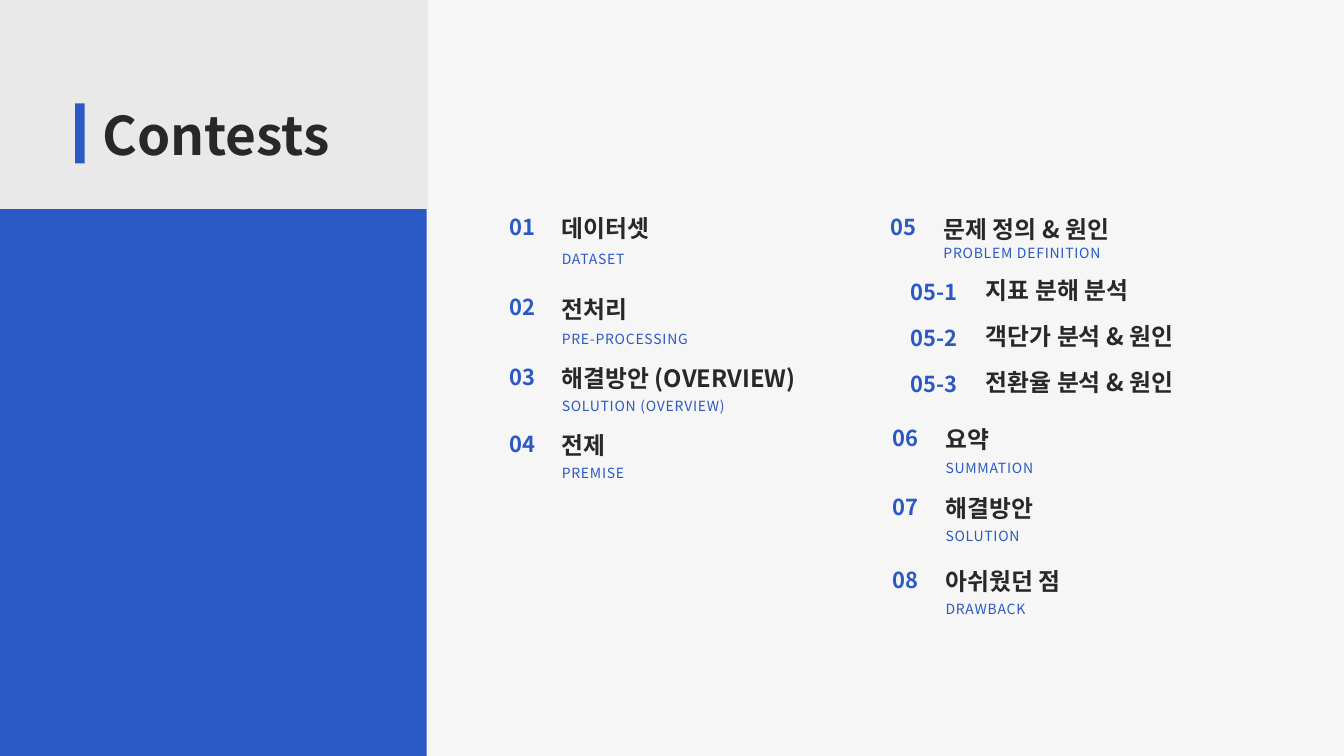
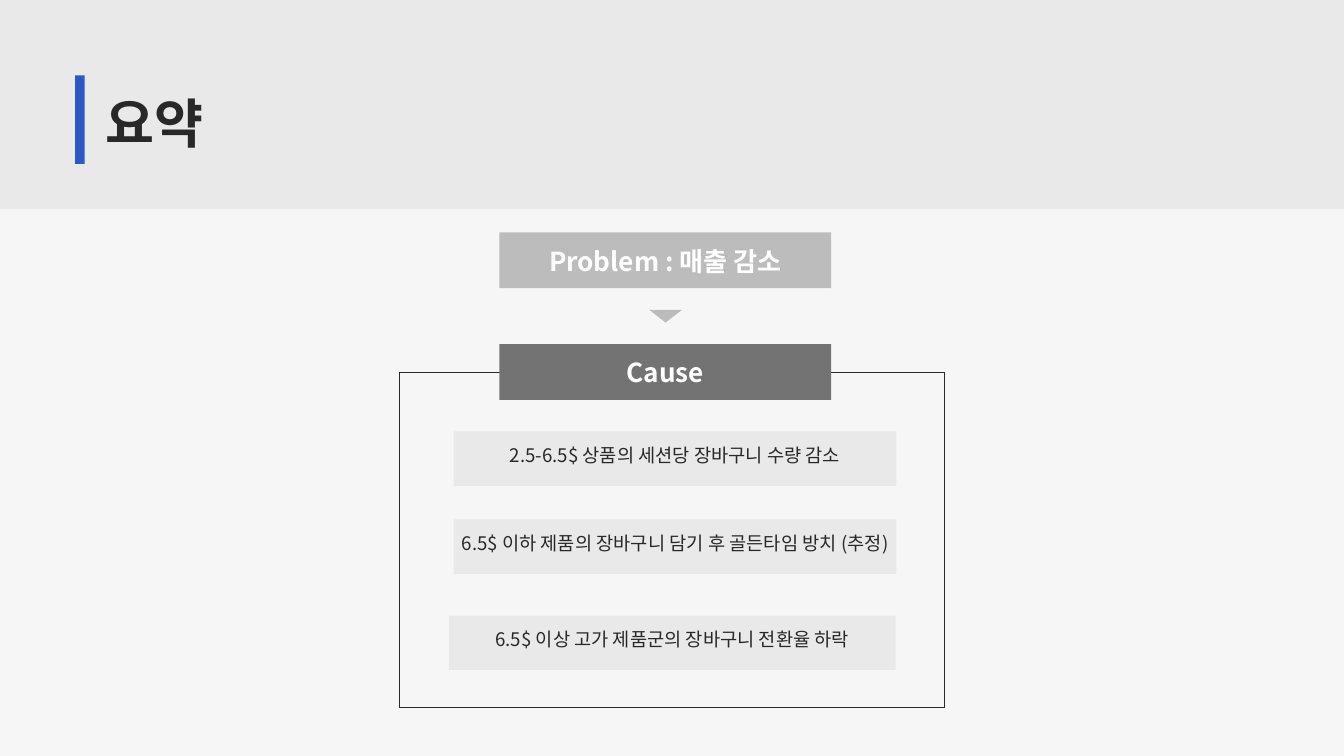
import pptx
import pptx.dml.color
import pptx.enum.shapes
import pptx.enum.text
import pptx.oxml.ns
import pptx.util
from lxml import etree

PX = 9144  # EMU in one px: 100 px to the inch
WIDE, HIGH = 2000, 1125
BAND = 311
FONT = "Noto Sans CJK KR"
BLUE, INK, PAPER, WHITE = "2A59C5", "282828", "F6F6F6", "FFFFFF"
PALE, GREY, DARK = "E9E9E9", "BCBCBC", "737373"

KIND = pptx.enum.shapes.MSO_SHAPE
ALIGN = pptx.enum.text.PP_ALIGN
ANCHOR = pptx.enum.text.MSO_ANCHOR
FIT = pptx.enum.text.MSO_AUTO_SIZE

LEFT = [
    (311, "01", "데이터셋", "DATASET", 58),
    (431, "02", "전처리", "PRE-PROCESSING", 57),
    (534, "03", "해결방안 (OVERVIEW)", "SOLUTION (OVERVIEW)", 54),
    (634, "04", "전제", "PREMISE", 53),
]
RIGHT = [
    (625, "06", "요약", "SUMMATION", 54),
    (728, "07", "해결방안", "SOLUTION", 53),
    (837, "08", "아쉬웠던 점", "DRAWBACK", 53),
]
PARTS = [
    (403, "05-1", "지표 분해 분석"),
    (471, "05-2", "객단가 분석 & 원인"),
    (540, "05-3", "전환율 분석 & 원인"),
]
CAUSES = [
    (675, 642, 659, "2.5-6.5$ 상품의 세션당 장바구니 수량 감소"),
    (675, 773, 659, "6.5$ 이하 제품의 장바구니 담기 후 골든타임 방치 (추정)"),
    (668, 916, 665, "6.5$ 이상 고가 제품군의 장바구니 전환율 하락"),
]


def scale(*sizes):
    return [size * PX for size in sizes]


def color(code):
    return pptx.dml.color.RGBColor.from_string(code)


def write(frame, text, size, code, bold=False, align=ALIGN.LEFT, space=0):
    """Fill a text frame with one styled paragraph; space is in points."""
    frame.text = text
    frame.word_wrap = True
    line = frame.paragraphs[0]
    line.alignment = align
    line.line_spacing = pptx.util.Pt(size * 1.4)
    run = line.runs[0]
    run.font.size = pptx.util.Pt(size)
    run.font.name = FONT
    run.font.bold = bold
    run.font.color.rgb = color(code)
    props = run._r.get_or_add_rPr()
    etree.SubElement(props, pptx.oxml.ns.qn("a:ea"), typeface=FONT)
    if space:
        props.set("spc", str(round(space * 100)))


def inset(frame, left, top, right, bottom):
    (frame.margin_left, frame.margin_top,
     frame.margin_right, frame.margin_bottom) = scale(left, top, right, bottom)


def label(slide, x, y, wide, high, *text, **style):
    frame = slide.shapes.add_textbox(*scale(x, y, wide, high)).text_frame
    inset(frame, 0, 0, 0, 0)
    write(frame, *text, **style)
    frame.auto_size = FIT.SHAPE_TO_FIT_TEXT


def block(slide, x, y, wide, high, fill=None, edge=None, kind=KIND.RECTANGLE):
    shape = slide.shapes.add_shape(kind, *scale(x, y, wide, high))
    shape.shadow.inherit = False
    if fill:
        shape.fill.solid()
        shape.fill.fore_color.rgb = color(fill)
    else:
        shape.fill.background()
    if edge:
        shape.line.color.rgb = color(edge)
        shape.line.width = pptx.util.Pt(0.75)
    else:
        shape.line.fill.background()
    return shape


def panel(slide, spot, fill, text, size, code, bold, lift):
    """Draw a filled box with centred text, raised by lift px."""
    frame = block(slide, *spot, fill).text_frame
    frame.vertical_anchor = ANCHOR.MIDDLE
    inset(frame, 6, 0, 6, 2 * lift)
    write(frame, text, size, code, bold, ALIGN.CENTER)


def start(deck):
    slide = deck.slides.add_slide(deck.slide_layouts[5])
    slide.background.fill.solid()
    slide.background.fill.fore_color.rgb = color(PAPER)
    return slide


def head(slide, text, wide, x, y, top, high):
    """Draw the band, its blue mark (top, high) and the title at x, y."""
    block(slide, 0, 0, wide, BAND, PALE)
    block(slide, 112, top, 14, high, BLUE)
    title = slide.shapes.title
    title.left, title.top, title.width, title.height = scale(x, y, 426, 107)
    frame = title.text_frame
    inset(frame, 0, 0, 0, 0)
    frame.vertical_anchor = ANCHOR.TOP
    write(frame, text, 57, INK, True)
    frame.auto_size = FIT.SHAPE_TO_FIT_TEXT
    tree = title._element.getparent()
    tree.append(title._element)  # bring in front of the band


def entry(slide, x, y, code, name, wide=70, gap=24, drop=0):
    """Place a number and, gap px to its right, a heading."""
    label(slide, x, y + drop, wide, 43, code, 23.5, BLUE, True, ALIGN.CENTER)
    label(slide, x + wide + gap, y, 367, 47, name, 25.5, INK, True)


def item(slide, x, y, code, name, note, down):
    entry(slide, x, y, code, name)
    label(slide, x + 94, y + down, 325, 29, note, 15, BLUE, space=0.8)


def contents(deck):
    slide = start(deck)
    block(slide, 0, 269, 635, HIGH - 269, BLUE)
    head(slide, "Contests", 637, 152, 137, 154, 89)
    for row in LEFT:
        item(slide, 742, *row)
    item(slide, 1310, 312, "05", "문제 정의 & 원인", "PROBLEM DEFINITION", 47)
    for row in PARTS:
        entry(slide, 1313, *row, wide=154, gap=0, drop=5)
    for row in RIGHT:
        item(slide, 1313, *row)


def summary(deck):
    slide = start(deck)
    head(slide, "요약", WIDE, 157, 119, 112, 132)
    block(slide, 594, 554, 811, 499, edge=INK)
    for y, fill, text in ((346, GREY, "Problem : 매출 감소"), (512, DARK, "Cause")):
        panel(slide, (743, y, 494, 83), fill, text, 28, WHITE, True, 3)
    block(slide, 966, 461, 49, 19, GREY, kind=KIND.FLOWCHART_MERGE)
    for x, y, wide, text in CAUSES:
        panel(slide, (x, y, wide, 81), PALE, text, 20, INK, False, 8)


def main():
    deck = pptx.Presentation()
    deck.slide_width, deck.slide_height = scale(WIDE, HIGH)
    contents(deck)
    summary(deck)
    deck.save("out.pptx")


if __name__ == "__main__":
    main()
